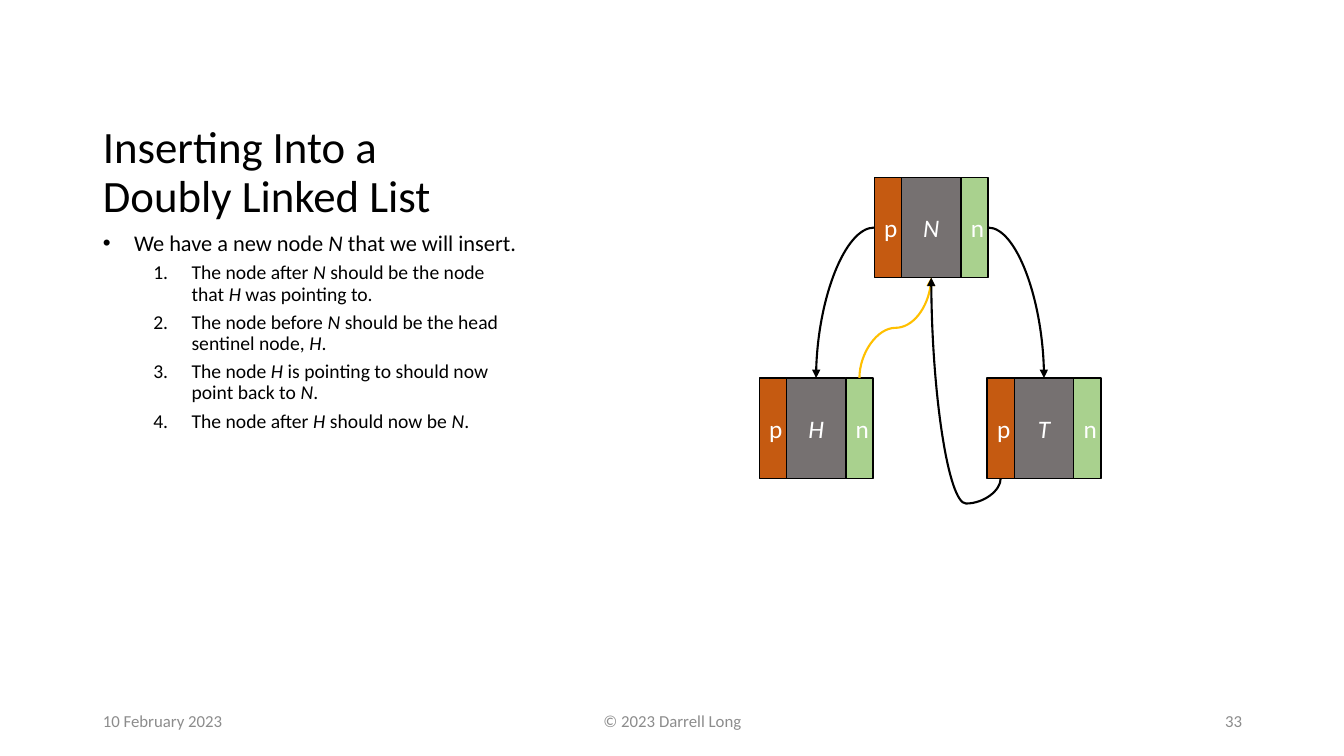
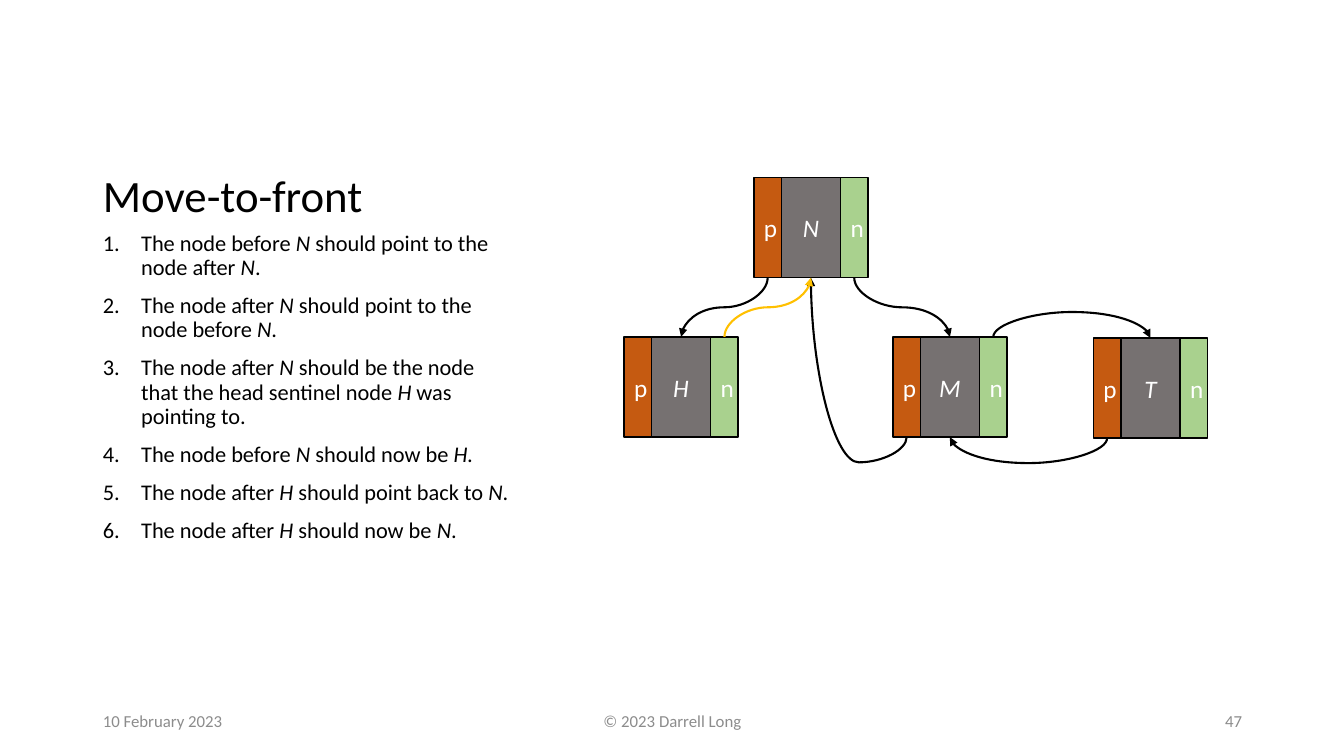
from copy import deepcopy

from pptx import Presentation
from pptx.dml.color import RGBColor as RGB
from pptx.enum.shapes import MSO_CONNECTOR as CXN, MSO_SHAPE as SHAPE
from pptx.enum.text import MSO_ANCHOR as ANCHOR, MSO_AUTO_SIZE as AUTO, PP_ALIGN as ALIGN
from pptx.oxml.ns import qn
from pptx.util import Emu, Inches, Pt
from lxml.etree import SubElement

HUES = {"text": "000000", "foot": "8C8C8C", "label": "FFFFFF", "edge": "000000",
        "prev": "C55A11", "node": "767171", "next": "A9D18E", "hot": "FFC000"}
FACE = "Calibri"
LEFT, WIDE = 0.92, 4.3
TITLE = (LEFT, 0.5, WIDE, 1.75)
BODY = (LEFT, 2.25, WIDE, 4.17)
FEET = {10: ((LEFT, 6.95, 3, 0.4), ALIGN.LEFT),
        11: ((4.42, 6.95, 4.5, 0.4), ALIGN.CENTER),
        12: ((9.42, 6.95, 3, 0.4), ALIGN.RIGHT)}
COL, ROW = 1.13, 0.995  # one node fills one cell
TOP, SIDE, BASE, FAR = range(4)
# suffix, share of the node's left edge, share of its width, colour
PARTS = [("p", 0, 0.24, "prev"), ("", 0.24, 0.52, "node"), ("n", 0.76, 0.24, "next")]


def hue(key):
    return RGB.from_string(HUES[key])


def place(shape, box):
    shape.left, shape.top, shape.width, shape.height = map(Inches, box)


def style(para, size, key, align=ALIGN.LEFT):
    para.alignment = align
    font = para.font
    font.name, font.size = FACE, Pt(size)
    font.color.rgb = hue(key)


def set_list(para, mark, left, hang):
    """Give the paragraph a bullet character, or numbers when mark is None."""
    props = para._p.get_or_add_pPr()
    props.set("marL", str(Inches(left)))
    props.set("indent", str(-Inches(hang)))
    if mark:
        SubElement(props, qn("a:buChar")).set("char", mark)
    else:
        SubElement(props, qn("a:buAutoNum")).set("type", "arabicPeriod")


def fill_body(frame, items):
    """Write items of (level, mark, left, hang, text); *stars* mark italics."""
    frame.auto_size = AUTO.NONE
    for k, (level, mark, left, hang, text) in enumerate(items):
        para = frame.add_paragraph() if k else frame.paragraphs[0]
        para.level = level
        set_list(para, mark, left, hang)
        style(para, 14 if level else 16, "text")
        para.line_spacing = 0.9
        para.space_before = Pt(0 if k == 0 else 5 if level else 10)
        for n, part in enumerate(text.split("*")):
            if part:
                run = para.add_run()
                run.text = part
                run.font.italic = n % 2 == 1


def set_layout(layout):
    for ph in layout.placeholders:
        idx = ph.placeholder_format.idx
        place(ph, {0: TITLE, 1: BODY}[idx] if idx < 2 else FEET[idx][0])


def add_feet(slide, number):
    words = {10: "10 February 2023", 11: "© 2023 Darrell Long", 12: number}
    for ph in slide.slide_layout.placeholders:
        if ph.placeholder_format.idx in FEET:
            slide.shapes._spTree.append(deepcopy(ph.element))
    for ph in slide.placeholders:
        idx = ph.placeholder_format.idx
        if idx in FEET:
            ph.text_frame.text = words[idx]
            ph.text_frame.vertical_anchor = ANCHOR.MIDDLE
            style(ph.text_frame.paragraphs[0], 12, "foot", FEET[idx][1])


def add_node(slide, name, left, top):
    """Draw one list node and return its parts by name."""
    group, parts = slide.shapes.add_group_shape(), {}
    for end, start, share, key in PARTS:
        box = (left + start * COL, top, share * COL, ROW)
        cell = group.shapes.add_shape(SHAPE.RECTANGLE, *map(Inches, box))
        cell.shadow.inherit = False
        cell.fill.solid()
        cell.fill.fore_color.rgb = hue(key)
        cell.line.color.rgb = hue("edge")
        cell.line.width = Pt(1)
        cell.text_frame.text = end or name
        para = cell.text_frame.paragraphs[0]
        style(para, 18, "label", ALIGN.CENTER)
        para.font.italic = not end
        parts[name + end] = cell
    return parts


def add_link(slide, start, out, goal, into, bulge=None, key="edge"):
    """Curve from one side to another; bulge is how far it first runs."""
    link = slide.shapes.add_connector(CXN.CURVE, 0, 0, 0, 0)
    link.begin_connect(start, out)
    link.end_connect(goal, into)
    x, y = link.begin_x, link.begin_y
    dx, dy = link.end_x - x, link.end_y - y
    upright = out in (TOP, BASE)
    along, across = (dy, -dx) if upright else (dx, dy)
    wide, high = abs(along), abs(across)
    link.left, link.top = Emu(x + (dx - wide) // 2), Emu(y + (dy - high) // 2)
    link.width, link.height = Emu(wide), Emu(high)

    props = link.element.spPr
    frame = props.find(qn("a:xfrm"))
    frame.set("rot", "5400000" if upright else "0")
    frame.set("flipH", str(int(along < 0)))
    frame.set("flipV", str(int(across < 0)))
    geom = props.find(qn("a:prstGeom"))
    geom.set("prst", "curvedConnector3" if upright else "curvedConnector2")
    if upright:
        share = Inches(bulge) / dy if bulge else 0.5
        guide = SubElement(geom.find(qn("a:avLst")), qn("a:gd"))
        guide.set("name", "adj1")
        guide.set("fmla", f"val {round(share * 100000)}")

    link.line.color.rgb = hue(key)
    link.line.width = Pt(1.5)
    SubElement(props.find(qn("a:ln")), qn("a:tailEnd")).set("type", "triangle")
    SubElement(props, qn("a:effectLst"))


def add_graph(slide, left, top, nodes, links):
    """Place nodes by column and row from the corner, then link their parts."""
    parts = {}
    for name, (col, row) in nodes.items():
        parts.update(add_node(slide, name, left + col * COL, top + row * ROW))
    for start, out, goal, into, *look in links:
        add_link(slide, parts[start], out, parts[goal], into, *look)


def add_page(deck, title, items, number, graph):
    slide = deck.slides.add_slide(deck.slide_layouts[1])
    head = slide.shapes.title.text_frame
    head.text = title
    head.vertical_anchor = ANCHOR.BOTTOM
    head.auto_size = AUTO.NONE
    style(head.paragraphs[0], 32, "text")
    head.paragraphs[0].line_spacing = 0.9
    fill_body(slide.placeholders[1].text_frame, items)
    add_feet(slide, number)
    add_graph(slide, *graph)


INSERT = [(0, "•", 0.31, 0.31, "We have a new node *N* that we will insert.")] + [
    (1, None, 0.88, 0.38, text) for text in (
        "The node after *N* should be the node that *H* was pointing to.",
        "The node before *N* should be the head sentinel node, *H*.",
        "The node *H* is pointing to should now point back to *N*.",
        "The node after *H* should now be *N*.")]
MOVE = [(0, None, 0.38, 0.38, text) for text in (
    "The node before *N* should point to the node after *N*.",
    "The node after *N* should point to the node before *N*.",
    "The node after *N* should be the node that the head sentinel node *H* was pointing to.",
    "The node before *N* should now be *H.*",
    "The node after *H* should point back to *N*.",
    "The node after *H* should now be *N*.")]
INSERT_GRAPH = (7.53, 1.76, {"H": (0, 2), "T": (2, 2), "N": (1.01, 0)}, [
    ("Hn", TOP, "N", BASE, None, "hot"),
    ("Tp", BASE, "N", BASE, 0.25),
    ("Nn", FAR, "T", TOP),
    ("Np", SIDE, "H", TOP)])
MOVE_GRAPH = (6.19, 1.76, {"H": (0, 1.59), "T": (4.12, 1.6), "N": (1.14, 0),
                           "M": (2.36, 1.59)}, [
    ("Tp", BASE, "M", BASE, 0.25),
    ("Nn", BASE, "M", TOP),
    ("Np", BASE, "H", TOP),
    ("Mn", TOP, "T", TOP, -0.25),
    ("Mp", BASE, "N", BASE, 0.25),
    ("Hn", TOP, "N", BASE, None, "hot")])


def main():
    deck = Presentation()
    deck.slide_width, deck.slide_height = Inches(13.33), Inches(7.5)
    set_layout(deck.slide_layouts[1])
    add_page(deck, "Inserting Into a Doubly Linked List", INSERT, "33", INSERT_GRAPH)
    add_page(deck, "Move-to-front", MOVE, "47", MOVE_GRAPH)
    deck.save("out.pptx")


if __name__ == "__main__":
    main()
